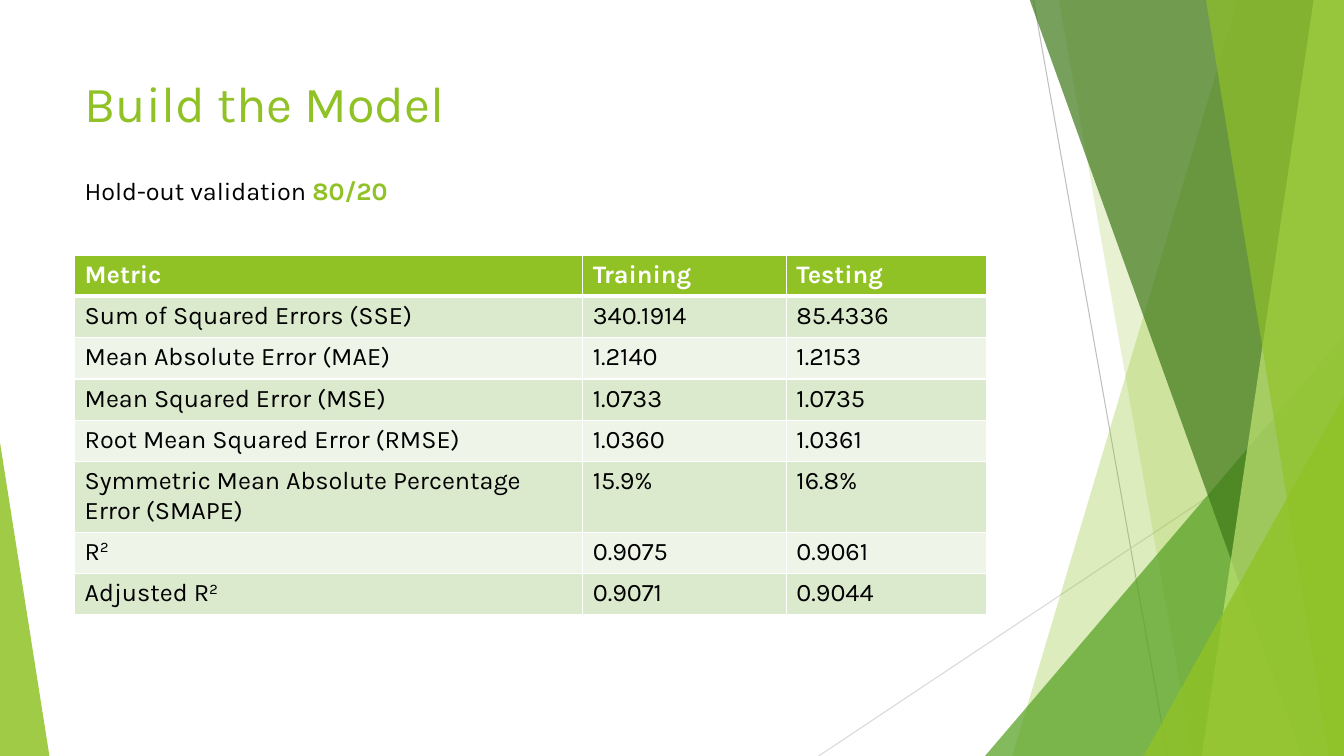
import pptx
import pptx.dml.color
import pptx.enum.shapes
import pptx.enum.text
import pptx.oxml
import pptx.oxml.ns
import pptx.util
from dataclasses import dataclass

Inches = pptx.util.Inches
SHAPES = pptx.enum.shapes.MSO_SHAPE
WIDTH, HEIGHT = 13.33, 7.5
FACET_TOP = -0.01


@dataclass(frozen=True)
class Theme:
    font: str = "Karla"
    title_size: int = 36
    body_size: int = 18
    lime: str = "90C226"
    pale_lime: str = "C0E474"
    green: str = "54A021"
    forest: str = "3F7819"
    text: str = "000000"
    white: str = "FFFFFF"
    bands: tuple = ("DBE9CD", "EEF4E8")
    dark_rule: str = "BFBFBF"
    light_rule: str = "D9D9D9"


def rgb(value):
    return pptx.dml.color.RGBColor.from_string(value)


def add_xml(parent, tag, **attributes):
    element = pptx.oxml.parse_xml(f"<a:{tag} {pptx.oxml.ns.nsdecls('a')}/>")
    for name, value in attributes.items():
        element.set(name, str(value))
    parent.append(element)
    return element


class SlideBuilder:
    def __init__(self, slide, theme):
        self.slide = slide
        self.theme = theme

    def rule(self, start, end, colour):
        rule = self.slide.shapes.add_connector(
            pptx.enum.shapes.MSO_CONNECTOR.STRAIGHT, *map(Inches, start + end))
        rule.line.color.rgb = rgb(colour)
        rule.line.width = pptx.util.Pt(0.75)
        add_xml(rule._element.spPr, "effectLst")

    def glaze(self, shape, colour, opacity):
        shape.shadow.inherit = False
        shape.line.fill.background()
        shape.fill.solid()
        shape.fill.fore_color.rgb = rgb(colour)
        tint = shape._element.spPr.find(".//" + pptx.oxml.ns.qn("a:srgbClr"))
        add_xml(tint, "alpha", val=opacity * 1000)

    def facet(self, top_x, bottom_x, colour, opacity):
        builder = self.slide.shapes.build_freeform(
            Inches(top_x), Inches(FACET_TOP), scale=1.0)
        corners = [(WIDTH, FACET_TOP), (WIDTH, HEIGHT), (bottom_x, HEIGHT)]
        builder.add_line_segments(
            [(Inches(x), Inches(y)) for x, y in corners], close=True)
        self.glaze(builder.convert_to_shape(), colour, opacity)

    def peak(self, left, top, width, apex, colour, opacity):
        peak = self.slide.shapes.add_shape(
            SHAPES.ISOSCELES_TRIANGLE,
            *map(Inches, (left, top, width, HEIGHT - top)))
        peak.adjustments[0] = apex
        self.glaze(peak, colour, opacity)

    def add_runs(self, paragraph, runs, **base):
        for text, changes in runs:
            style = {"size": self.theme.body_size, "color": self.theme.text,
                     "bold": False, **base, **changes}
            run = paragraph.add_run()
            run.text = text
            run.font.color.rgb = rgb(style.pop("color"))
            if style.pop("superscript", False):
                run._r.get_or_add_rPr().set("baseline", "30000")
            style["size"] = pptx.util.Pt(style["size"])
            style["name"] = self.theme.font
            for name, value in style.items():
                setattr(run.font, name, value)

    def text(self, box, runs, **base):
        frame = self.slide.shapes.add_textbox(*map(Inches, box)).text_frame
        frame.word_wrap = True
        frame.vertical_anchor = pptx.enum.text.MSO_ANCHOR.TOP
        self.add_runs(frame.paragraphs[0], runs, **base)

    def border(self, cell, row):
        weights = {"lnL": 1, "lnR": 1, "lnT": 3 if row == 1 else 1,
                   "lnB": 3 if row == 0 else 1}
        properties = cell._tc.get_or_add_tcPr()
        for position, (side, weight) in enumerate(weights.items()):
            edge = add_xml(properties, side, w=pptx.util.Pt(weight))
            add_xml(add_xml(edge, "solidFill"), "srgbClr", val=self.theme.white)
            properties.insert(position, edge)

    def table(self, left, top, widths, heights, rows):
        box = (left, top, sum(widths), sum(heights))
        table = self.slide.shapes.add_table(
            len(rows), len(widths), *map(Inches, box)).table
        for column, width in zip(table.columns, widths):
            column.width = Inches(width)
        for index, (height, entries) in enumerate(zip(heights, rows)):
            table.rows[index].height = Inches(height)
            header = index == 0
            fill = self.theme.lime if header else self.theme.bands[(index - 1) % 2]
            colour = self.theme.white if header else self.theme.text
            for cell, entry in zip(table.rows[index].cells, entries):
                cell.fill.solid()
                cell.fill.fore_color.rgb = rgb(fill)
                self.border(cell, index)
                runs = [(entry, {})] if isinstance(entry, str) else entry
                self.add_runs(cell.text_frame.paragraphs[0], runs,
                              color=colour, bold=header)


def main():
    presentation = pptx.Presentation()
    presentation.slide_width = Inches(WIDTH)
    presentation.slide_height = Inches(HEIGHT)
    theme = Theme()
    page = SlideBuilder(
        presentation.slides.add_slide(presentation.slide_layouts[6]), theme)

    page.rule((10.25, 0), (11.58, HEIGHT), theme.dark_rule)
    page.rule((WIDTH, 4.03), (8.12, HEIGHT), theme.light_rule)
    page.facet(12.28, 10.04, theme.lime, 30)
    page.facet(10.5, 11.83, theme.lime, 20)
    page.peak(9.77, 3.33, 3.56, 1, theme.green, 72)
    page.facet(10.21, 12.91, theme.forest, 70)
    page.facet(13.03, 11.92, theme.pale_lime, 70)
    page.facet(11.96, 13.18, theme.lime, 65)
    page.peak(11.34, 3.93, 1.99, 1, theme.lime, 80)
    page.peak(0, 4.39, 0.49, 0, theme.lime, 85)

    page.text((0.74, 0.67, 9.4, 1.44), [("Build the Model", {})],
              size=theme.title_size, color=theme.lime)

    squared = ("2", {"superscript": True})
    metrics = [
        ("Metric", "Training", "Testing"),
        ("Sum of Squared Errors (SSE)", "340.1914", "85.4336"),
        ("Mean Absolute Error (MAE)", "1.2140", "1.2153"),
        ("Mean Squared Error (MSE)", "1.0733", "1.0735"),
        ("Root Mean Squared Error (RMSE)", "1.0360", "1.0361"),
        ("Symmetric Mean Absolute Percentage Error (SMAPE)", "15.9%", "16.8%"),
        ([("R", {}), squared], "0.9075", "0.9061"),
        ([("Adjusted R", {}), squared], "0.9071", "0.9044"),
    ]
    row_heights = [0.41] * 5 + [0.67] + [0.41] * 2
    page.table(0.74, 2.53, (5.04, 2.02, 1.99), row_heights, metrics)

    page.text((0.74, 1.69, 8.92, 0.4),
              [("Hold-out validation ", {}),
               ("80/20", {"color": theme.lime, "bold": True})])
    presentation.save("out.pptx")


if __name__ == "__main__":
    main()
